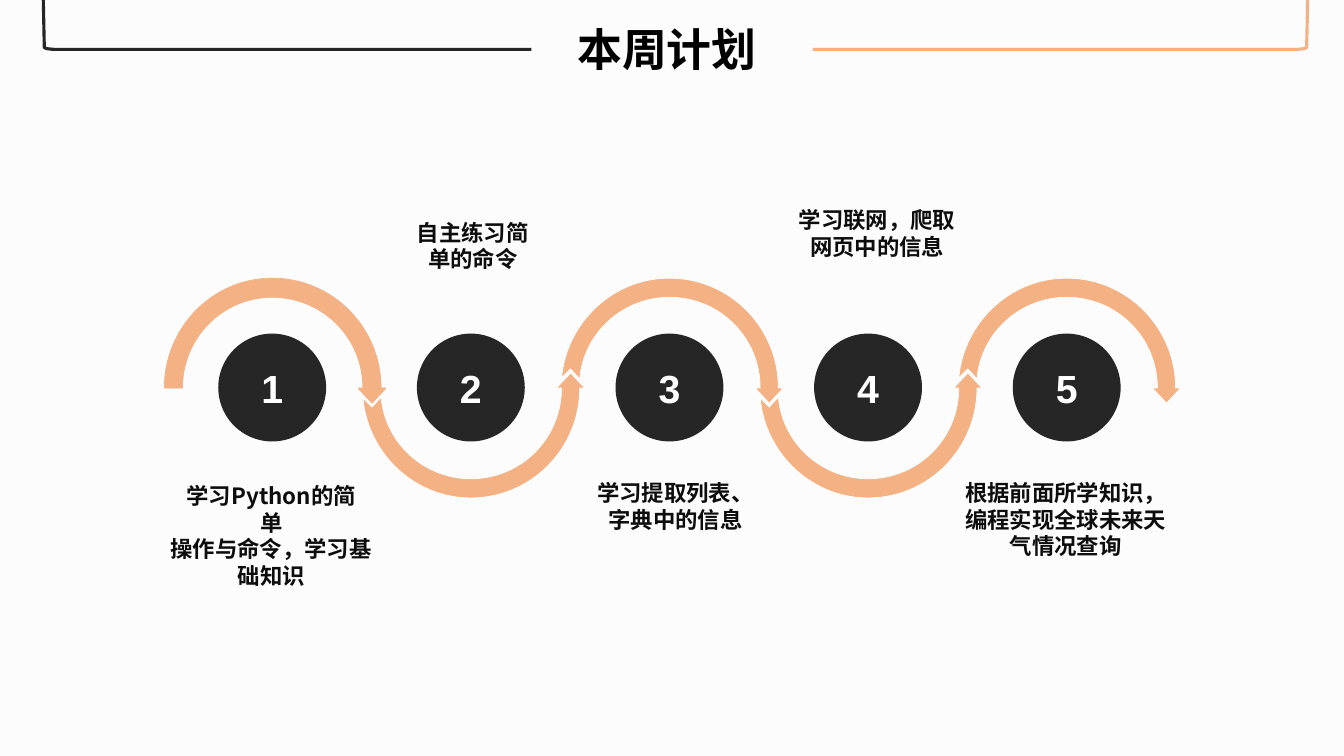
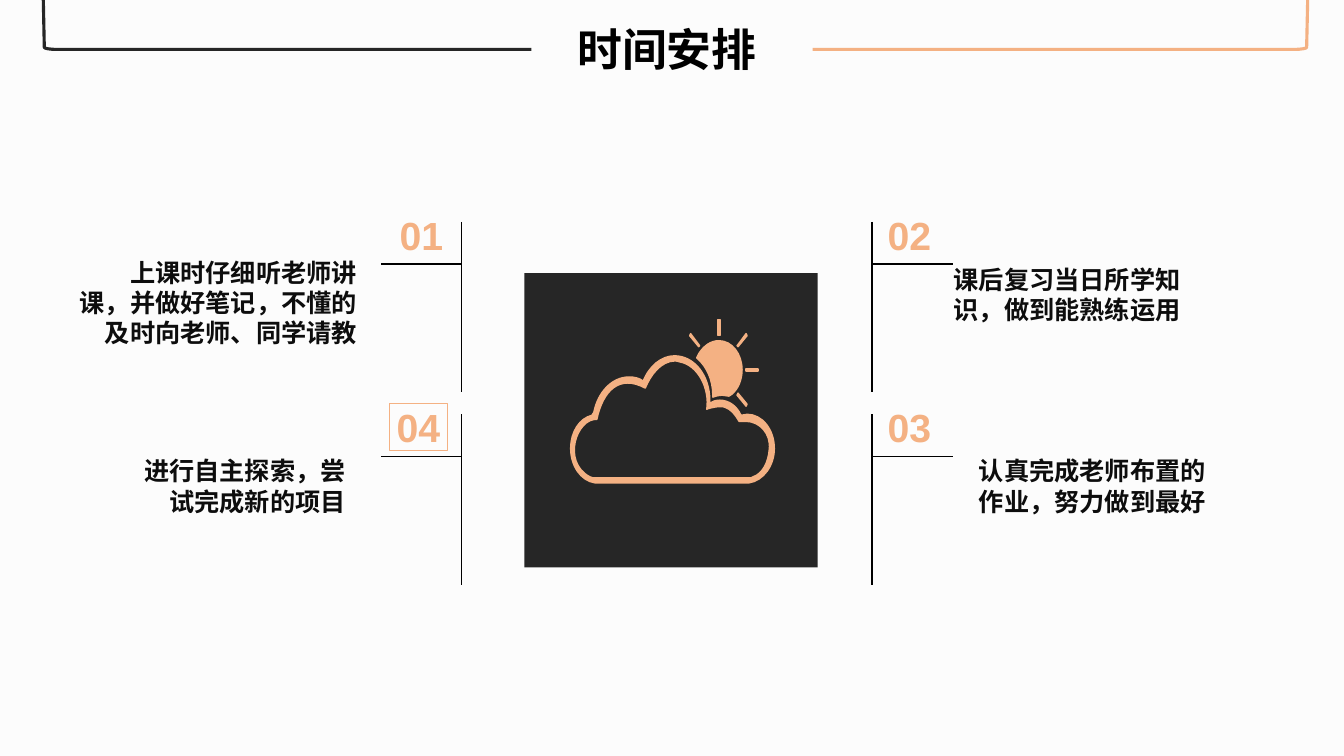
from lxml import etree
from pptx import Presentation
from pptx.dml.color import RGBColor
from pptx.enum.shapes import MSO_CONNECTOR, MSO_SHAPE
from pptx.enum.text import MSO_ANCHOR, MSO_AUTO_SIZE, PP_ALIGN
from pptx.oxml.ns import qn
from pptx.util import Inches, Pt

LEFT, CENTER, RIGHT = PP_ALIGN.LEFT, PP_ALIGN.CENTER, PP_ALIGN.RIGHT
MIDDLE, TOP = MSO_ANCHOR.MIDDLE, MSO_ANCHOR.TOP
OVAL, RECT = MSO_SHAPE.OVAL, MSO_SHAPE.RECTANGLE
STRAIGHT, NO_FIT = MSO_CONNECTOR.STRAIGHT, MSO_AUTO_SIZE.NONE

# Shared style
PAPER, DARK, ORANGE = "FCFCFC", "262626", "F4B183"
WHITE, BLACK, INK = "FFFFFF", "000000", "0D0D0D"
LATIN, CJK = "Arial", "Noto Sans CJK SC"
WIDTH, HEIGHT = 13.33, 7.5
TITLE_BOX = (5.12, 0.16, 2.99, 0.64)
LEADING = 1.2

# Outlines: a pair is a corner, six numbers are a curve
CORNER = [(0.57, 0.49), (0.49, 0.49, 0.44, 0.48, 0.44, 0.47), (0.43, 0)]
MIRROR = 13.4
FRAMES = [(8.06, True, ORANGE), (5.27, False, DARK)]

# Slide 1: lines of the caption, its top, its shift from the step's centre
PLAN_TITLE = "本周计划"
STEPS = [
    ("学习Python的简\v单\n操作与命令，学习基\n础知识", 4.78, -0.01),
    ("自主练习简\n单的命令", 2.17, 0.02),
    ("学习提取列表、\n字典中的信息", 4.75, 0.06),
    ("学习联网，爬取\n网页中的信息", 2.05, 0.09),
    ("根据前面所学知识，\n编程实现全球未来天\n气情况查询", 4.75, -0.01),
]
FIRST_X, STEP_GAP, AXIS_Y = 2.7, 1.97, 3.85
DISC, DISC_TOP = 1.07, 3.31
CAPTION_W = 2.4

# Ribbon around a step, measured from the step's centre
RIBBON_HEAD = [(1.08, 0), (1.08, -0.6, 0.6, -1.09, 0, -1.09)]
PLAIN_START = [(-0.59, -1.09, -1.07, -0.6, -1.07, 0), (-0.89, 0),
               (-0.89, -0.5, -0.49, -0.9, 0, -0.9)]
NOTCHED_START = [(-0.56, -1.09, -1.02, -0.65, -1.07, -0.1), (-0.98, -0.19),
                 (-0.89, -0.09), (-0.85, -0.55, -0.46, -0.9, 0, -0.9)]
RIBBON_TIP = [(0.5, -0.9, 0.9, -0.5, 0.9, 0), (0.85, 0), (0.99, 0.15), (1.13, 0)]

# Slide 2: number, its centre, text, on the right, row, text edge, text top, boxed
TIME_TITLE = "时间安排"
HABITS = [
    ("01", 4.18, "上课时仔细听老师讲\n课，并做好笔记，不懂的\n及时向老师、同学请教",
     False, 0, 3.54, 2.55, False),
    ("02", 9.02, "课后复习当日所学知\n识，做到能熟练运用",
     True, 0, 9.46, 2.62, False),
    ("03", 9.02, "认真完成老师布置的\n作业，努力做到最好",
     True, 1, 9.71, 4.52, False),
    ("04", 4.15, "进行自主探索，尝\n试完成新的项目",
     False, 1, 3.43, 4.52, True),
]
LEFT_BAR, RIGHT_BAR = 4.58, 8.65
ROW_TOP, ROW_GAP, BAR_H = 2.2, 1.91, 1.69
BRANCH_DY, BRANCH_W = 0.42, 0.8
NUMBER_W, NUMBER_H, NUMBER_RISE = 0.58, 0.47, 0.11
HABIT_W = 2.9
PANEL = (5.2, 2.71, 2.91, 2.92)
WEATHER_ICON = [
    # Sun rays
    [(7.32, 3.9), (7.31, 3.92), (7.4, 4.03), (7.41, 4.01)],
    [(7.52, 3.66), (7.4, 3.66), (7.4, 3.68), (7.52, 3.68)],
    [(6.85, 3.31), (6.84, 3.33), (6.93, 3.44), (6.94, 3.43)],
    [(7.4, 3.31), (7.31, 3.43), (7.32, 3.44), (7.41, 3.33)],
    [(7.14, 3.17), (7.12, 3.17), (7.12, 3.33), (7.14, 3.33)],
    # Sun
    [(7.13, 3.38), (7.05, 3.38, 6.98, 3.43, 6.93, 3.51), (6.91, 3.55),
     (6.92, 3.56), (7.01, 3.64, 7.07, 3.77, 7.07, 3.92), (7.07, 3.94),
     (7.1, 3.93, 7.13, 3.92, 7.16, 3.92), (7.23, 3.93), (7.26, 3.91),
     (7.32, 3.86, 7.36, 3.77, 7.36, 3.67),
     (7.36, 3.51, 7.26, 3.38, 7.13, 3.38)],
    # Cloud, outer edge
    [(6.69, 3.53), (6.56, 3.53, 6.44, 3.63, 6.38, 3.78),
     (6.34, 3.75, 6.29, 3.74, 6.24, 3.74),
     (6.07, 3.74, 5.93, 3.89, 5.89, 4.09), (5.87, 4.12),
     (5.75, 4.15, 5.66, 4.28, 5.66, 4.45),
     (5.66, 4.62, 5.76, 4.77, 5.9, 4.79), (7.43, 4.79),
     (7.57, 4.77, 7.68, 4.62, 7.68, 4.45),
     (7.68, 4.26, 7.56, 4.11, 7.41, 4.11), (7.35, 4.12),
     (7.31, 4.03, 7.23, 3.97, 7.14, 3.97),
     (7.1, 3.97, 7.07, 3.98, 7.04, 4), (7.04, 3.97),
     (7.04, 3.73, 6.89, 3.53, 6.69, 3.53)],
    # Cloud, inner edge
    [(6.7, 3.58), (6.72, 3.58, 6.73, 3.59, 6.74, 3.59),
     (6.92, 3.62, 7.04, 3.85, 7.01, 4.06),
     (7.03, 4.05, 7.14, 4.02, 7.19, 4.04),
     (7.25, 4.06, 7.29, 4.11, 7.33, 4.18), (7.4, 4.18),
     (7.53, 4.18, 7.65, 4.3, 7.63, 4.46),
     (7.62, 4.59, 7.56, 4.7, 7.47, 4.73), (7.45, 4.74), (5.88, 4.74),
     (5.85, 4.73), (5.57, 4.58, 5.72, 4.15, 5.92, 4.16),
     (5.98, 3.88, 6.14, 3.71, 6.4, 3.85),
     (6.45, 3.73, 6.55, 3.58, 6.7, 3.58)],
]


# Drawing helpers
def rgb(value):
    return RGBColor.from_string(value)


def inches(*values):
    return [Inches(v) for v in values]


def paint(shape, fill=None, line=None, weight=0.5):
    shape.shadow.inherit = False
    if fill:
        shape.fill.solid()
        shape.fill.fore_color.rgb = rgb(fill)
    else:
        shape.fill.background()
    if line:
        shape.line.color.rgb = rgb(line)
        shape.line.width = Pt(weight)
    else:
        shape.line.fill.background()


def write(shape, text, size, color, align=CENTER, font=LATIN, anchor=MIDDLE,
          leading=None):
    frame = shape.text_frame
    frame.text = text
    frame.word_wrap = True
    frame.auto_size = NO_FIT
    frame.vertical_anchor = anchor
    frame.margin_left = frame.margin_right = 0
    frame.margin_top = frame.margin_bottom = 0
    for paragraph in frame.paragraphs:
        paragraph.alignment = align
        if leading:
            paragraph.line_spacing = Pt(size * leading)
        for run in paragraph.runs:
            run.font.name = font
            run.font.size = Pt(size)
            run.font.bold = True
            run.font.color.rgb = rgb(color)
    for latin in list(shape.element.iter(qn("a:latin"))):
        latin.addnext(etree.Element(qn("a:ea"), typeface=CJK))


def add_caption(slide, box, text, size, align):
    caption = slide.shapes.add_textbox(*inches(*box))
    write(caption, text, size, INK, align, CJK, TOP, LEADING)


def add_block(slide, kind, box, **look):
    block = slide.shapes.add_shape(kind, *inches(*box))
    paint(block, **look)
    return block


def add_line(slide, start, end):
    line = slide.shapes.add_connector(STRAIGHT, *inches(*start, *end))
    line.line.color.rgb = rgb(BLACK)
    line.line.width = Pt(1)
    etree.SubElement(line.element.spPr, qn("a:effectLst"))


def place(outline, dx, dy, flip_x=1, flip_y=1):
    return [tuple(dy + flip_y * v if n % 2 else dx + flip_x * v
                  for n, v in enumerate(part)) for part in outline]


def add_outline(slide, outlines, closed=True, **look):
    builder = None
    for start, *rest in outlines:
        if builder is None:
            builder = slide.shapes.build_freeform(*inches(*start), scale=1.0)
        else:
            builder.move_to(*inches(*start))
        builder.add_line_segments([inches(*part[-2:]) for part in rest], close=closed)
    shape = builder.convert_to_shape()
    paint(shape, **look)
    # Bend the segments that are curves; closing segments add a line of their own
    ends = [part for outline in outlines for part in outline[1:]
            + ([outline[0]] if closed and outline[-1][-2:] != outline[0] else [])]
    segments = list(shape.element.iter(qn("a:lnTo")))
    for segment, part in zip(segments, match_segments(ends, len(segments), outlines)):
        if len(part) == 6:
            curve = etree.Element(qn("a:cubicBezTo"))
            for x, y in zip(part[::2], part[1::2]):
                etree.SubElement(curve, qn("a:pt"), x=str(Inches(x) - shape.left),
                                 y=str(Inches(y) - shape.top))
            segment.getparent().replace(segment, curve)


def match_segments(ends, count, outlines):
    drawn = [part for outline in outlines for part in outline[1:]]
    return drawn if len(drawn) == count else ends


def add_ribbon(slide, index):
    start = NOTCHED_START if index else PLAIN_START
    ribbon = place(RIBBON_HEAD + start + RIBBON_TIP, FIRST_X + index * STEP_GAP,
                   AXIS_Y, flip_y=-1 if index % 2 else 1)
    add_outline(slide, [ribbon], fill=ORANGE, line=WHITE if index else ORANGE)


def add_titled_slide(deck, layout, title):
    slide = deck.slides.add_slide(layout)
    write(slide.shapes.title, title, 32, BLACK)
    for end_x, mirrored, color in FRAMES:
        corner = place(CORNER, MIRROR, 0, flip_x=-1) if mirrored else CORNER
        add_outline(slide, [[(end_x, 0.49)] + corner], closed=False,
                    line=color, weight=2.25)
    return slide


# Slides
def add_plan(deck, layout):
    slide = add_titled_slide(deck, layout, PLAN_TITLE)
    order = range(len(STEPS))
    for index in [*order[::2], *order[1::2]]:
        add_ribbon(slide, index)
    for index, (text, top, shift) in enumerate(STEPS):
        center = FIRST_X + index * STEP_GAP
        disc = add_block(slide, OVAL, (center - DISC / 2, DISC_TOP, DISC, DISC),
                         fill=DARK)
        write(disc, str(index + 1), 28, WHITE)
        add_caption(slide, (center + shift - CAPTION_W / 2, top, CAPTION_W, 1.1),
                    text, 16, CENTER)


def add_schedule(deck, layout):
    slide = add_titled_slide(deck, layout, TIME_TITLE)
    for number, center, text, on_right, row, edge, text_top, boxed in HABITS:
        bar, outward = (RIGHT_BAR, 1) if on_right else (LEFT_BAR, -1)
        top = ROW_TOP + row * ROW_GAP
        branch_y = top + BRANCH_DY
        add_line(slide, (bar, top), (bar, top + BAR_H))
        add_line(slide, (bar + outward * BRANCH_W, branch_y), (bar, branch_y))
        label = add_block(slide, RECT, (center - NUMBER_W / 2, top - NUMBER_RISE,
                                        NUMBER_W, NUMBER_H),
                          line=ORANGE if boxed else None, weight=0.75)
        write(label, number, 28, ORANGE)
        add_caption(slide, (edge if on_right else edge - HABIT_W, text_top, HABIT_W, 1),
                    text, 18, LEFT if on_right else RIGHT)
    add_block(slide, RECT, PANEL, fill=DARK)
    add_outline(slide, WEATHER_ICON, fill=ORANGE, line=ORANGE, weight=1)
    return slide


def main():
    deck = Presentation()
    deck.slide_width, deck.slide_height = inches(WIDTH, HEIGHT)
    layout = deck.slide_layouts.get_by_name("Title Only")
    heading = layout.placeholders[0]
    heading.left, heading.top, heading.width, heading.height = inches(*TITLE_BOX)
    add_plan(deck, layout)
    schedule = add_schedule(deck, layout)
    # The paper sheet belongs to the master, behind everything else
    sheet = add_block(schedule, RECT, (0, 0, WIDTH, HEIGHT), fill=PAPER)
    deck.slide_master.shapes.element.insert(2, sheet.element)
    deck.save("out.pptx")


if __name__ == "__main__":
    main()
